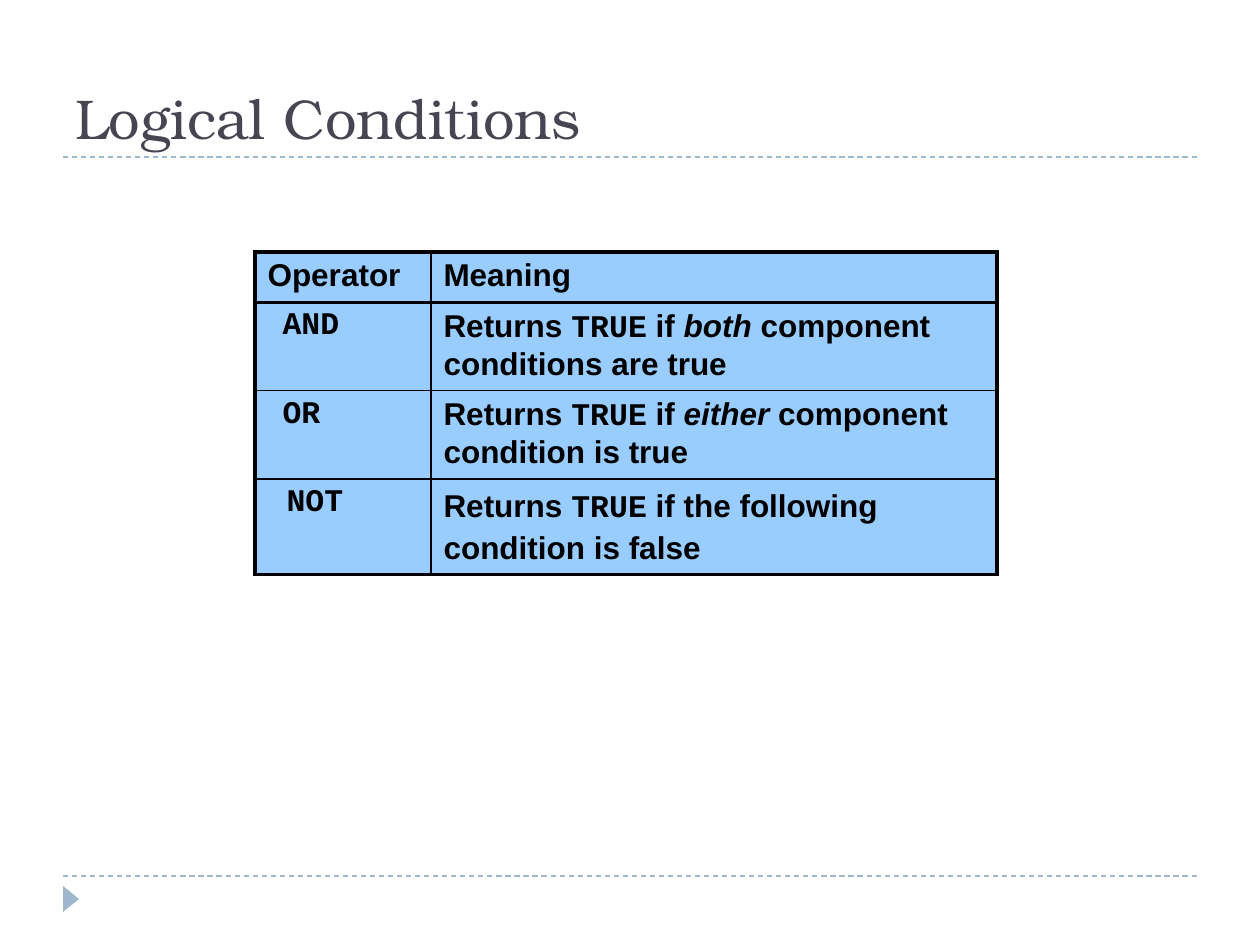
"""Build the Logical Conditions slide with its operator table."""
from lxml import etree
from pptx import Presentation
from pptx.dml.color import RGBColor
from pptx.enum.dml import MSO_LINE
from pptx.enum.shapes import MSO_CONNECTOR, MSO_SHAPE
from pptx.enum.text import MSO_ANCHOR
from pptx.oxml.ns import qn
from pptx.util import Emu, Pt

DASH = MSO_LINE.DASH
STRAIGHT = MSO_CONNECTOR.STRAIGHT
TRIANGLE = MSO_SHAPE.ISOSCELES_TRIANGLE
BOTTOM = MSO_ANCHOR.BOTTOM
SCALE = 914400 / 126
SANS, MONO = "Arial", "Courier New"
ACCENT, BLACK, CELL_BLUE = "9FB8CD", "000000", "99CCFF"


def px(length):
    return Emu(round(length * SCALE))


def color(code):
    return RGBColor.from_string(code)


deck = Presentation()
deck.slide_width, deck.slide_height = px(1260), px(945)
slide = deck.slides.add_slide(deck.slide_layouts[6])

for y in (876, 157):
    rule = slide.shapes.add_connector(STRAIGHT, px(63), px(y), px(1197), px(y))
    rule.line.color.rgb = color(ACCENT)
    rule.line.width = Pt(0.75)
    rule.line.dash_style = DASH
    etree.SubElement(rule._element.spPr, qn("a:effectLst"))

marker = slide.shapes.add_shape(TRIANGLE, px(58), px(891), px(26), px(16))
marker.rotation = 90
marker.shadow.inherit = False
marker.fill.solid()
marker.fill.fore_color.rgb = color(ACCENT)
marker.line.fill.background()

title_box = slide.shapes.add_textbox(px(63), px(31), px(1134), px(126))
title_box.text_frame.word_wrap = True
title_box.text_frame.vertical_anchor = BOTTOM
span = title_box.text_frame.paragraphs[0].add_run()
span.text = "Logical Conditions"
span.font.name = "TeX Gyre Bonum"
span.font.size = Pt(32)
span.font.color.rgb = color("464653")

returns_true = [("Returns ", SANS, False), ("TRUE", MONO, False)]
rows = [
    (48, 0, 1, [("Operator", SANS, False)], [("Meaning", SANS, False)]),
    (86, 15, 1, [("AND", MONO, False)],
     returns_true + [(" if ", SANS, False), ("both ", SANS, True),
                     ("component conditions are true", SANS, False)]),
    (86, 15, 1, [("OR", MONO, False)],
     returns_true + [(" if ", SANS, False), ("either ", SANS, True),
                     ("component condition is true", SANS, False)]),
    (93, 19, 1.1, [("NOT", MONO, False)],
     returns_true + [(" if the following condition is false", SANS, False)]),
]
column_widths = (176, 566)
last_row = len(rows) - 1

frame = slide.shapes.add_table(len(rows), 2, px(255), px(252),
                               px(sum(column_widths)), px(sum(row[0] for row in rows)))
table = frame.table
table.first_row = table.horz_banding = False
for column, width in zip(table.columns, column_widths):
    column.width = px(width)

for r, (height, indent, spacing, operator, meaning) in enumerate(rows):
    table.rows[r].height = px(height)
    for c, spans in enumerate((operator, meaning)):
        cell = table.cell(r, c)
        borders = {
            "a:lnL": 2.25 if c == 0 else 1,
            "a:lnR": 2.25 if c == 1 else 1,
            "a:lnT": 2.25 if r < 2 else 1,
            "a:lnB": 2.25 if r in (0, last_row) else 1,
        }
        properties = cell._tc.get_or_add_tcPr()
        for tag, width in borders.items():
            border = etree.SubElement(properties, qn(tag), w=str(Pt(width)))
            paint = etree.SubElement(border, qn("a:solidFill"))
            etree.SubElement(paint, qn("a:srgbClr"), val=BLACK)
        cell.fill.solid()
        cell.fill.fore_color.rgb = color(CELL_BLUE)
        para = cell.text_frame.paragraphs[0]
        if c == 0:
            para._p.get_or_add_pPr().set("marL", str(px(indent)))
        else:
            para.line_spacing = float(spacing)
        for text, font_name, italic in spans:
            span = para.add_run()
            span.text = text
            span.font.name = font_name
            span.font.size = Pt(18)
            span.font.bold = True
            span.font.italic = italic
            span.font.color.rgb = color(BLACK)

deck.save("out.pptx")
